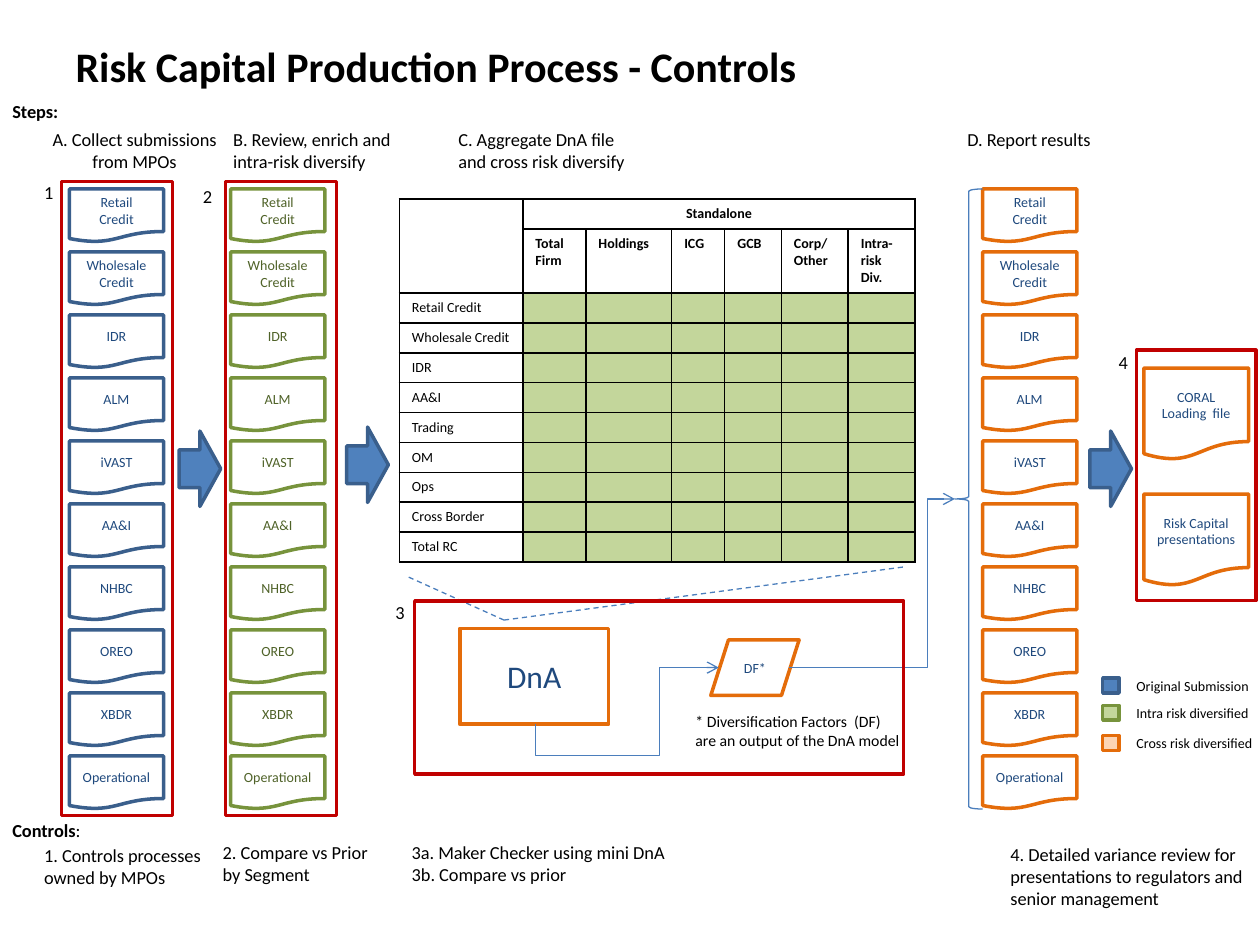
"""Build the risk capital production process slide."""
from pptx import Presentation
from pptx.dml.color import RGBColor
from pptx.enum import dml, shapes, text
from pptx.oxml import ns, xmlchemy
from pptx.util import Cm, Pt

COLORS = {
    "black": "000000", "navy": "1F497D", "moss": "4F6228",
    "blue": "4F81BD", "blue_edge": "3A5F8C", "wire": "4B7EBC",
    "green": "C3D69B", "green_edge": "77933C",
    "peach": "FCD5B5", "orange": "E46C0A", "red": "C00000",
}
FONT = "Calibri"
KINDS = shapes.MSO_SHAPE
RISKS = ["Retail\vCredit", "Wholesale\vCredit", "IDR", "ALM", "iVAST",
         "AA&I", "NHBC", "OREO", "XBDR", "Operational"]
RISK_COLUMNS = [(1.4, "blue_edge", "navy"), (4.65, "green_edge", "moss"),
                (19.81, "orange", "navy")]
BLOCK_ARROWS = [(3.61, 8.69), (6.99, 8.61), (21.97, 8.69)]
CONTROL_FRAMES = [(1.24, 3.66, 2.24, 12.78), (4.55, 3.66, 2.24, 12.78),
                  (8.36, 12.12, 9.86, 3.48), (22.91, 7.06, 2.41, 5.05)]
LEGEND = [(13.67, "blue", "blue_edge", "Original Submission"),
          (14.22, "green", "green_edge", "Intra risk diversified"),
          (14.83, "peach", "orange", "Cross risk diversified")]
CAPTIONS = [
    ((0.43, 2.46, 4.57, 1.14), "A. Collect submissions from MPOs", {"align": "CENTER"}),
    ((4.45, 2.46, 4.01, 1.14), "B. Review, enrich and intra-risk diversify", {}),
    ((8.99, 2.46, 4.01, 1.14), "C. Aggregate DnA file and cross risk diversify", {}),
    ((19.25, 2.46, 4.01, 0.71), "D. Report results", {}),
    ((0, 1.9, 2.97, 0.71), "Steps:", {"bold": True}),
    ((0.64, 16.89, 3.78, 1.14), "1. Controls processes owned by MPOs", {}),
    ((4.24, 16.84, 3.78, 1.14), "2. Compare vs Prior by Segment", {}),
    ((8.05, 16.84, 12.27, 1.14),
     "3a. Maker Checker using mini DnA\n3b. Compare vs prior", {}),
    ((20.12, 16.87, 5.28, 1.6),
     "4. Detailed variance review for presentations to regulators and senior management", {}),
    ((0.64, 3.53, 0.81, 0.71), "1", {}),
    ((3.84, 3.61, 0.81, 0.71), "2", {}),
    ((7.72, 11.99, 0.81, 0.71), "3", {}),
    ((22.3, 6.96, 0.81, 0.71), "4", {}),
    ((13.77, 14.22, 4.65, 1.02),
     "* Diversification Factors  (DF) are an output of the DnA model", {"size": 9}),
]
TABLE_HEADS = ["Total Firm", "Holdings", "ICG", "GCB", "Corp/ Other", "Intra-risk Div."]
TABLE_ROWS = ["Retail Credit", "Wholesale Credit", "IDR", "AA&I", "Trading",
              "OM", "Ops", "Cross Border", "Total RC"]
TABLE_WIDTHS = [2.49, 1.27, 1.73, 1.07, 1.14, 1.35, 1.35]


def rgb(name):
    """Return the named colour."""
    return RGBColor.from_string(COLORS[name])


def lengths(values):
    """Turn centimetre numbers into lengths."""
    return [Cm(value) for value in values]


def apply(target, values):
    """Set each named attribute on the target."""
    for name, value in values.items():
        setattr(target, name, value)


def add_xml(parent, tag, **attributes):
    """Append a drawing element and return it."""
    child = xmlchemy.OxmlElement(tag)
    for name, value in attributes.items():
        child.set(name, str(value))
    parent.append(child)
    return child


def write(frame, words, size=10.5, color="black", bold=False, align="LEFT"):
    """Fill a text frame with uniformly formatted paragraphs."""
    frame.text = words
    for paragraph in frame.paragraphs:
        paragraph.alignment = getattr(text.PP_ALIGN, align)
        for run in paragraph.runs:
            apply(run.font, {"name": FONT, "size": Pt(size), "bold": bold})
            run.font.color.rgb = rgb(color)


def add_caption(slide, box, words, **style):
    """Add a wrapped text box."""
    frame = slide.shapes.add_textbox(*lengths(box)).text_frame
    apply(frame, {"word_wrap": True, "auto_size": text.MSO_AUTO_SIZE.SHAPE_TO_FIT_TEXT})
    write(frame, words, **style)
    return frame


def add_box(slide, kind, box, edge, fill=None, words="", size=8, color="navy", weight=2):
    """Add an outlined preset shape with centred text."""
    item = slide.shapes.add_shape(kind, *lengths(box))
    item.shadow.inherit = False
    if fill:
        item.fill.solid()
        item.fill.fore_color.rgb = rgb(fill)
    else:
        item.fill.background()
    item.line.color.rgb = rgb(edge)
    item.line.width = Pt(weight)
    if words:
        margins = {f"margin_{side}": Cm(0.1) for side in ("left", "right")}
        apply(item.text_frame, {"word_wrap": True, **margins,
                                "vertical_anchor": text.MSO_ANCHOR.MIDDLE})
        write(item.text_frame, words, size, color, align="CENTER")


def add_wire(slide, start, end, preset="line", adjusts=(), frame=None, dashed=False):
    """Add a thin straight or bent connector; bent ones end in an arrow."""
    kinds = shapes.MSO_CONNECTOR
    kind = kinds.ELBOW if adjusts else kinds.STRAIGHT
    wire = slide.shapes.add_connector(kind, *lengths(start + end))
    wire.line.color.rgb = rgb("wire")
    wire.line.width = Pt(0.75)
    if dashed:
        wire.line.dash_style = dml.MSO_LINE.DASH
    properties = wire._element.spPr
    if adjusts:
        geometry = properties.find(ns.qn("a:prstGeom"))
        geometry.set("prst", preset)
        guides = geometry.find(ns.qn("a:avLst"))
        if guides is None:
            guides = add_xml(geometry, "a:avLst")
        for number, value in enumerate(adjusts, 1):
            add_xml(guides, "a:gd", name=f"adj{number}", fmla=f"val {value}")
        add_xml(wire.line._get_or_add_ln(), "a:tailEnd", type="arrow")
    for name, value in (frame or {}).items():
        properties.find(ns.qn("a:xfrm")).set(name, value)
    add_xml(properties, "a:effectLst")


def format_cell(cell, words, filled, **style):
    """Write one table cell with black borders."""
    write(cell.text_frame, words, size=8, **style)
    if not words:
        add_xml(cell.text_frame.paragraphs[0]._p, "a:endParaRPr", sz=800)
    properties = cell._tc.get_or_add_tcPr()
    for side in ("lnL", "lnR", "lnT", "lnB"):
        fill = add_xml(add_xml(properties, f"a:{side}", w=12700), "a:solidFill")
        add_xml(fill, "a:srgbClr", val=COLORS["black"])
    if filled:
        cell.fill.solid()
        cell.fill.fore_color.rgb = rgb("green")
    else:
        cell.fill.background()


def add_capital_table(slide):
    """Add the standalone capital table."""
    blanks = [""] * len(TABLE_HEADS)
    rows = [["", "Standalone"] + blanks[1:], [""] + TABLE_HEADS]
    rows += [[name] + blanks for name in TABLE_ROWS]
    box = lengths((8.05, 4.01, sum(TABLE_WIDTHS), 7.24))
    table = slide.shapes.add_table(len(rows), len(TABLE_WIDTHS), *box).table
    apply(table, {"first_row": False, "horz_banding": False})
    for column, width in zip(table.columns, TABLE_WIDTHS):
        column.width = Cm(width)
    for r, row in enumerate(rows):
        table.rows[r].height = Cm(1.27 if r == 1 else 0.59)
        for c, words in enumerate(row):
            format_cell(table.cell(r, c), words, r > 1 and c > 0, bold=r < 2,
                        align="LEFT" if r else "CENTER")
    table.cell(0, 0).merge(table.cell(1, 0))
    table.cell(0, 1).merge(table.cell(0, len(TABLE_HEADS)))


def add_title(slide):
    """Place and format the title."""
    title = slide.shapes.title
    apply(title, dict(zip(("left", "top", "width", "height"),
                          lengths((1.27, 0.76, 22.86, 1.14)))))
    title.text_frame.vertical_anchor = text.MSO_ANCHOR.MIDDLE
    write(title.text_frame, "Risk Capital Production Process - Controls", 24, bold=True)


def main():
    """Assemble and save the slide."""
    deck = Presentation()
    apply(deck, {"slide_width": Cm(25.4), "slide_height": Cm(19.05)})
    slide = deck.slides.add_slide(deck.slide_layouts[5])
    add_title(slide)
    add_capital_table(slide)
    for left, edge, color in RISK_COLUMNS:
        for row, risk in enumerate(RISKS):
            add_box(slide, KINDS.FLOWCHART_DOCUMENT, (left, 3.81 + 1.27 * row, 1.9, 1.07),
                    edge, words=risk, color=color)
    for left, top in BLOCK_ARROWS:
        add_box(slide, KINDS.RIGHT_ARROW, (left, top, 0.84, 1.52), "blue_edge", "blue")
    for end in ((8.23, 11.63), (18.21, 11.43)):
        add_wire(slide, (10.16, 12.5), end, dashed=True)
    add_box(slide, KINDS.FLOWCHART_DATA, (14.33, 12.9, 1.78, 1.12), "orange", words="DF*")
    add_box(slide, KINDS.FLOWCHART_PROCESS, (9.27, 12.67, 3, 1.93), "orange",
            words="DnA", size=18)
    add_wire(slide, (12.07, 12.18), (13.21, 15.88), "bentConnector4", (-55900, 67800),
             {"rot": "5400000", "flipH": "1", "flipV": "1"})
    add_box(slide, KINDS.LEFT_BRACE, (19.25, 3.81, 0.56, 12.5), "wire", weight=0.75)
    add_wire(slide, (15.9, 13.46), (19.25, 10.06), "bentConnector3", (83400,))
    for top, words in ((7.42, "CORAL\vLoading  file"), (9.96, "Risk Capital\vpresentations")):
        add_box(slide, KINDS.FLOWCHART_DOCUMENT, (23.06, top, 2.11, 1.85), "orange", words=words)
    for top, fill, edge, words in LEGEND:
        add_box(slide, KINDS.FLOWCHART_PROCESS, (22.23, top, 0.33, 0.3), edge, fill)
        add_caption(slide, (22.66, top - 0.14, 2.97, 0.61), words, size=8)
    for frame in CONTROL_FRAMES:
        add_box(slide, KINDS.RECTANGLE, frame, "red")
    for box, words, style in CAPTIONS:
        add_caption(slide, box, words, **style)
    controls = add_caption(slide, (0, 16.38, 2.97, 0.71), "Controls", bold=True)
    colon = controls.paragraphs[0].add_run()
    colon.text = ":"
    apply(colon.font, {"name": FONT, "size": Pt(10.5), "bold": False})
    colon.font.color.rgb = rgb("black")
    deck.save("out.pptx")


main()
